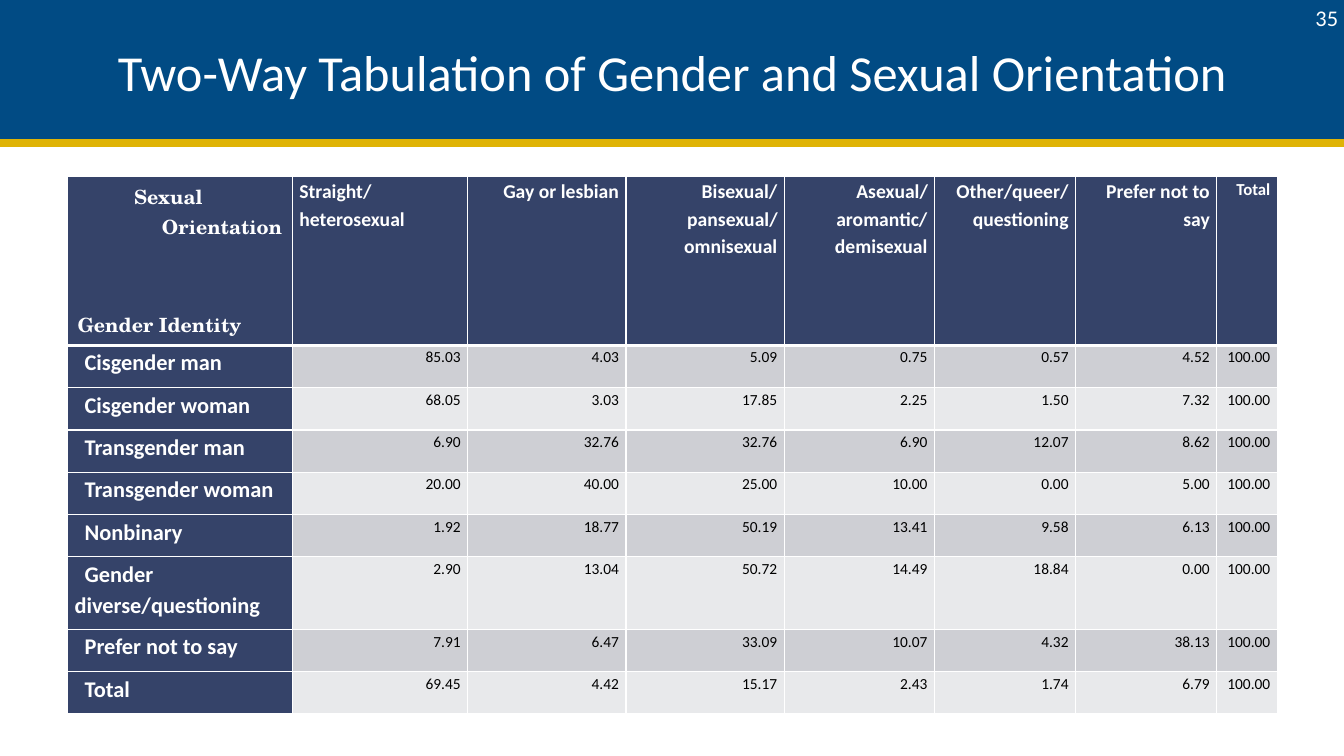
from lxml import etree
from pptx import Presentation
from pptx import util as u
from pptx.dml.color import RGBColor
from pptx.enum import shapes, text
from pptx.oxml import ns

COLORS = {"white": "FFFFFF", "black": "000000", "blue": "014B84", "gold": "DFB305",
          "navy": "354369", "odd": "CECFD4", "even": "E8E9EB"}
LEFT, CENTER, RIGHT = text.PP_ALIGN.LEFT, text.PP_ALIGN.CENTER, text.PP_ALIGN.RIGHT

COLUMN_WIDTHS = [2.23, 1.74, 1.57, 1.57, 1.49, 1.4, 1.4, 0.6]
HEADER_HEIGHT, ROW_HEIGHT, TALL_ROW_HEIGHT = 1.41, 0.42, 0.72
ORIENTATIONS = ["Straight/heterosexual", "Gay or lesbian", "Bisexual/pansexual/omnisexual",
                "Asexual/aromantic/demisexual", "Other/queer/\nquestioning",
                "Prefer not to say", "Total"]
GENDERS = [
    ("Cisgender man", [85.03, 4.03, 5.09, 0.75, 0.57, 4.52]),
    ("Cisgender woman", [68.05, 3.03, 17.85, 2.25, 1.50, 7.32]),
    ("Transgender man", [6.90, 32.76, 32.76, 6.90, 12.07, 8.62]),
    ("Transgender woman", [20.00, 40.00, 25.00, 10.00, 0.00, 5.00]),
    ("Nonbinary", [1.92, 18.77, 50.19, 13.41, 9.58, 6.13]),
    ("Gender diverse/questioning", [2.90, 13.04, 50.72, 14.49, 18.84, 0.00]),
    ("Prefer not to say", [7.91, 6.47, 33.09, 10.07, 4.32, 38.13]),
    ("Total", [69.45, 4.42, 15.17, 2.43, 1.74, 6.79]),
]
ROW_TOTAL = 100


def color(name):
    return RGBColor.from_string(COLORS[name])


def write(frame, words, size, ink="white", font="Calibri", bold=False, align=LEFT,
          spacing=None, margin=0, indent=0, before=0, append=False):
    """Write one paragraph per line of words, replacing or following the frame's text."""
    for number, line in enumerate(words.split("\n")):
        para = frame.add_paragraph() if append or number else frame.paragraphs[0]
        properties = para._p.get_or_add_pPr()
        properties.set("marL", str(u.Inches(margin)))
        properties.set("indent", str(u.Inches(indent)))
        para.alignment = align
        if spacing:
            para.line_spacing = spacing
        if before:
            para.space_before = u.Pt(before)
        span = para.add_run()
        span.text = line
        span.font.size, span.font.name, span.font.bold = u.Pt(size), font, bold
        span.font.color.rgb = color(ink)


def add_banner(page, left, top, width, height):
    band = page.shapes.add_shape(shapes.MSO_SHAPE.RECTANGLE, u.Inches(left), u.Inches(top),
                                 u.Inches(width), u.Inches(height))
    band.shadow.inherit = False
    band.fill.solid()
    band.fill.fore_color.rgb = band.line.color.rgb = color("blue")
    band.line.width = u.Pt(2)

    edge = u.Inches(top + height)
    rule = page.shapes.add_connector(shapes.MSO_CONNECTOR.STRAIGHT, u.Inches(left - 0.05), edge,
                                     u.Inches(left + width + 0.04), edge)
    rule.line.color.rgb = color("gold")
    rule.line.width = u.Pt(6)
    etree.SubElement(rule._element.spPr, ns.qn("a:effectLst"))

    title = page.shapes.title
    title.left, title.top = u.Inches(left + 0.7), u.Inches(top + 0.08)
    title.width, title.height = u.Inches(12), u.Inches(1.25)
    title.text_frame.vertical_anchor = text.MSO_ANCHOR.MIDDLE
    write(title.text_frame, "Two-Way Tabulation of Gender and Sexual Orientation", 36,
          align=CENTER)
    page.shapes._spTree.append(title._element)  # bring in front of the band

    box = page.shapes.add_textbox(u.Inches(left + width - 0.62), u.Inches(top),
                                  u.Inches(0.62), u.Inches(0.35))
    box.text_frame.word_wrap = True
    box.text_frame.vertical_anchor = text.MSO_ANCHOR.MIDDLE
    write(box.text_frame, "35", 16, align=RIGHT)


def style_cell(cell, fill, bottom=1):
    """Draw white borders and fill the cell."""
    properties = cell._tc.get_or_add_tcPr()
    for side, width in (("L", 1), ("R", 1), ("T", 1), ("B", bottom)):
        border = etree.SubElement(properties, ns.qn(f"a:ln{side}"), w=str(u.Pt(width)))
        solid = etree.SubElement(border, ns.qn("a:solidFill"))
        etree.SubElement(solid, ns.qn("a:srgbClr"), val=COLORS["white"])
    cell.fill.solid()
    cell.fill.fore_color.rgb = color(fill)


def fill_cell(cell, words, size, fill, bottom=1, **form):
    style_cell(cell, fill, bottom)
    cell.margin_left = cell.margin_right = u.Inches(0.07)
    cell.margin_top = cell.margin_bottom = 0
    write(cell.text_frame, words, size, spacing=1.15, **form)


def fill_corner(cell):
    style_cell(cell, "navy", bottom=3)
    form = dict(size=14, font="TeX Gyre Schola", bold=True, spacing=u.Pt(21.5))
    write(cell.text_frame, "Sexual", margin=0.56, **form)
    write(cell.text_frame, "Orientation", align=RIGHT, append=True, **form)
    write(cell.text_frame, "Gender Identity", before=49, append=True, **form)


def add_tabulation(page, left, top, width, height):
    table = page.shapes.add_table(len(GENDERS) + 1, len(COLUMN_WIDTHS), u.Inches(left),
                                  u.Inches(top), u.Inches(width), u.Inches(height)).table
    table.horz_banding = False
    for column, column_width in zip(table.columns, COLUMN_WIDTHS):
        column.width = u.Inches(column_width)

    table.rows[0].height = u.Inches(HEADER_HEIGHT)
    fill_corner(table.cell(0, 0))
    for column, name in enumerate(ORIENTATIONS, 1):
        fill_cell(table.cell(0, column), name, 12 if name == "Total" else 14, "navy", bottom=3,
                  bold=True, align=LEFT if column == 1 else RIGHT)

    for row, (gender, shares) in enumerate(GENDERS, 1):
        wraps = "/" in gender
        table.rows[row].height = u.Inches(TALL_ROW_HEIGHT if wraps else ROW_HEIGHT)
        fill_cell(table.cell(row, 0), gender, 16, "navy", bold=True, indent=0.1)
        for column, share in enumerate(shares + [ROW_TOTAL], 1):
            fill_cell(table.cell(row, column), f"{share:.2f}", 11, "odd" if row % 2 else "even",
                      ink="black", align=RIGHT)


def main():
    deck = Presentation()
    deck.slide_width, deck.slide_height = u.Inches(13.33), u.Inches(7.5)
    page = deck.slides.add_slide(deck.slide_layouts[5])
    add_banner(page, -0.03, 0, 13.4, 1.42)
    add_tabulation(page, 0.67, 1.75, 12, 5.1)
    deck.save("out.pptx")


if __name__ == "__main__":
    main()
